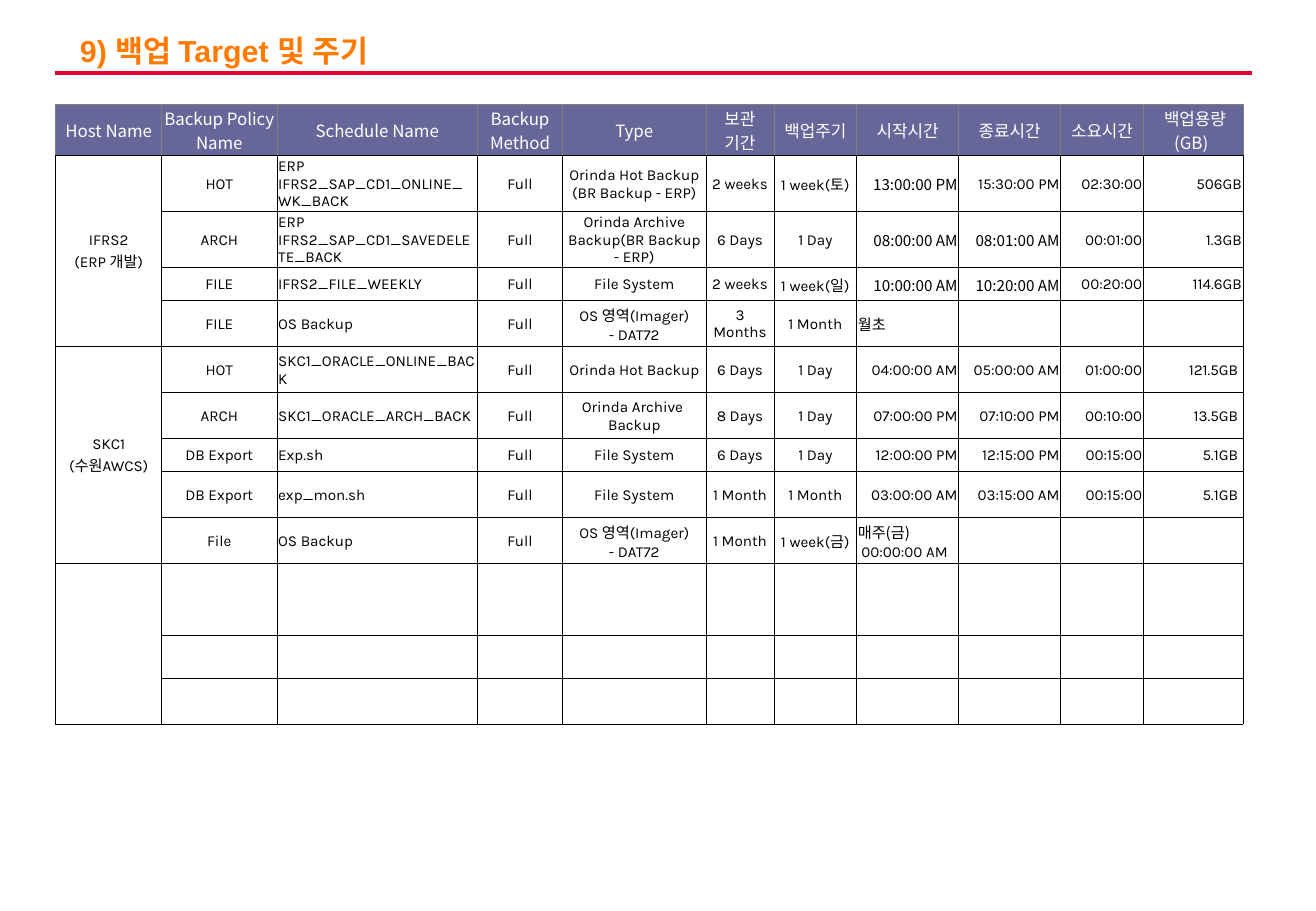
from lxml.etree import SubElement
from pptx import Presentation
from pptx.dml.color import RGBColor
from pptx.enum.shapes import MSO_CONNECTOR
from pptx.enum.text import MSO_ANCHOR, PP_ALIGN
from pptx.oxml import parse_xml
from pptx.oxml.ns import nsdecls, qn
from pptx.util import Inches, Pt

COLORS = {"title": "FF7A00", "rule": "EA002C", "header": "666699", "header_text": "FFFFFF",
          "header_edge": "7F7F7F", "text": "000000", "edge": "000000"}
KOREAN = "Noto Sans CJK KR"


def add_text(paragraph, text, font, size, color, bold=False):
    """Add one run per line; a vertical tab marks a line break."""
    for i, line in enumerate(text.split("\v")):
        if i:
            paragraph.add_line_break()
        run = paragraph.add_run()
        run.text = line
        run.font.name, run.font.size, run.font.bold = font, Pt(size), bold
        run.font.color.rgb = RGBColor.from_string(COLORS[color])
        SubElement(run.font._element, qn("a:ea")).set("typeface", KOREAN)


def set_borders(cell, side_colors):
    for i, (side, color) in enumerate(side_colors.items()):
        cell._tc.get_or_add_tcPr().insert(i, parse_xml(
            f'<a:ln{side} {nsdecls("a")} w="6350"><a:solidFill>'
            f'<a:srgbClr val="{COLORS[color]}"/></a:solidFill></a:ln{side}>'))


prs = Presentation()
prs.slide_width, prs.slide_height = Inches(10.83), Inches(7.5)
slide = prs.slides.add_slide(prs.slide_layouts[6])

# Title and the rule below it
rule = slide.shapes.add_connector(MSO_CONNECTOR.STRAIGHT, Inches(0.45), Inches(0.6),
                                  Inches(10.3), Inches(0.6))
rule.line.color.rgb = RGBColor.from_string(COLORS["rule"])
rule.line.width = Pt(2.25)
SubElement(rule._element.spPr, qn("a:effectLst"))

title = slide.shapes.add_textbox(Inches(0.56), Inches(0.25), Inches(9.86), Inches(0.37)).text_frame
title.word_wrap = True
title.vertical_anchor = MSO_ANCHOR.MIDDLE
title.paragraphs[0].line_spacing = 0.9
add_text(title.paragraphs[0], "9) 백업 Target 및 주기", "Arial", 18, "title", True)

# Backup schedule: rows are padded with empty cells on the right
schedule = [
    ["Host Name", "Backup Policy Name", "Schedule Name", "Backup\vMethod", "Type", "보관\n기간",
     "백업주기", "시작시간", "종료시간", "소요시간", " 백업용량\n(GB) "],
    ["IFRS2\n(ERP 개발)", "HOT", "ERP IFRS2_SAP_CD1_ONLINE_WK_BACK", "Full",
     "Orinda Hot Backup\n(BR Backup - ERP)", "2 weeks", "1 week(토)",
     "13:00:00 PM", "15:30:00 PM", "02:30:00", "506GB"],
    ["", "ARCH", "ERP IFRS2_SAP_CD1_SAVEDELETE_BACK", "Full",
     "Orinda Archive Backup(BR Backup - ERP)", "6 Days", "1 Day",
     "08:00:00 AM", "08:01:00 AM", "00:01:00", "1.3GB"],
    ["", "FILE", "IFRS2_FILE_WEEKLY", "Full", "File System", "2 weeks", "1 week(일)",
     "10:00:00 AM", "10:20:00 AM", "00:20:00", "114.6GB"],
    ["", "FILE", "OS Backup", "Full", "OS 영역(Imager)\n- DAT72", "3 Months", "1 Month", "월초"],
    ["SKC1\v(수원AWCS)", "HOT", "SKC1_ORACLE_ONLINE_BACK", "Full", "Orinda Hot Backup",
     "6 Days", "1 Day", "04:00:00 AM", "05:00:00 AM", "01:00:00", "121.5GB "],
    ["", "ARCH", "SKC1_ORACLE_ARCH_BACK", "Full", "Orinda Archive \nBackup",
     "8 Days", "1 Day", "07:00:00 PM", "07:10:00 PM", "00:10:00", " 13.5GB "],
    ["", "DB Export", "Exp.sh", "Full", "File System", "6 Days", "1 Day",
     "12:00:00 PM", "12:15:00 PM", "00:15:00", " 5.1GB "],
    ["", "DB Export", "exp_mon.sh", "Full", "File System", "1 Month", "1 Month",
     "03:00:00 AM", "03:15:00 AM", "00:15:00", " 5.1GB "],
    ["", "File", "OS Backup", "Full", "OS 영역(Imager)\n- DAT72", "1 Month", "1 week(금)",
     "매주(금)\n 00:00:00 AM"],
    [], [], [],
]
column_widths = [0.87, 0.95, 1.65, 0.7, 1.18, 0.56, 0.68, 0.84, 0.84, 0.68, 0.82]
row_heights = [0.42, 0.38, 0.34, 0.27, 0.38, 0.38, 0.38, 0.27, 0.38, 0.38, 0.59, 0.35, 0.38]
host_spans = [(1, 4), (5, 9), (10, 12)]
SCHEDULE_NAME, START = 2, 7
korean_font_times = {(1, 7), (2, 7), (2, 8), (3, 7), (3, 8), (4, 7), (9, 7)}
left_aligned_starts = {4, 9}

table = slide.shapes.add_table(len(row_heights), len(column_widths), Inches(0.46), Inches(0.86),
                               Inches(sum(column_widths)), Inches(sum(row_heights))).table
table.horz_banding = False
for column, width in zip(table.columns, column_widths):
    column.width = Inches(width)
for row, height in zip(table.rows, row_heights):
    row.height = Inches(height)

for r, texts in enumerate(schedule):
    for c in range(len(column_widths)):
        cell = table.cell(r, c)
        cell.vertical_anchor = MSO_ANCHOR.MIDDLE
        cell.margin_left = cell.margin_right = cell.margin_top = Inches(0.01)
        cell.margin_bottom = 0
        if r == 0:
            cell.fill.solid()
            cell.fill.fore_color.rgb = RGBColor.from_string(COLORS["header"])
        else:
            cell.fill.background()
        edge = "edge" if r else "header_edge"
        top = "edge" if r else "header_edge"
        set_borders(cell, {"L": edge, "R": edge, "T": top, "B": "edge"})

        text = texts[c] if c < len(texts) else ""
        if not text:
            continue
        if r == 0:
            align = PP_ALIGN.CENTER
        elif c == SCHEDULE_NAME or (c == START and r in left_aligned_starts):
            align = PP_ALIGN.LEFT
        else:
            align = PP_ALIGN.RIGHT if c >= START else PP_ALIGN.CENTER
        for i, line in enumerate(text.split("\n")):
            paragraph = cell.text_frame.add_paragraph() if i else cell.text_frame.paragraphs[0]
            paragraph.alignment = align
            if r == 0:
                add_text(paragraph, line, KOREAN, 10, "header_text")
            else:
                is_korean = (r, c) in korean_font_times and i == 0
                add_text(paragraph, line, KOREAN if is_korean else "Karla", 9, "text")

# Each host covers all of its policies
for first, last in host_spans:
    table.cell(first, 0).merge(table.cell(last, 0))

prs.save("out.pptx")
